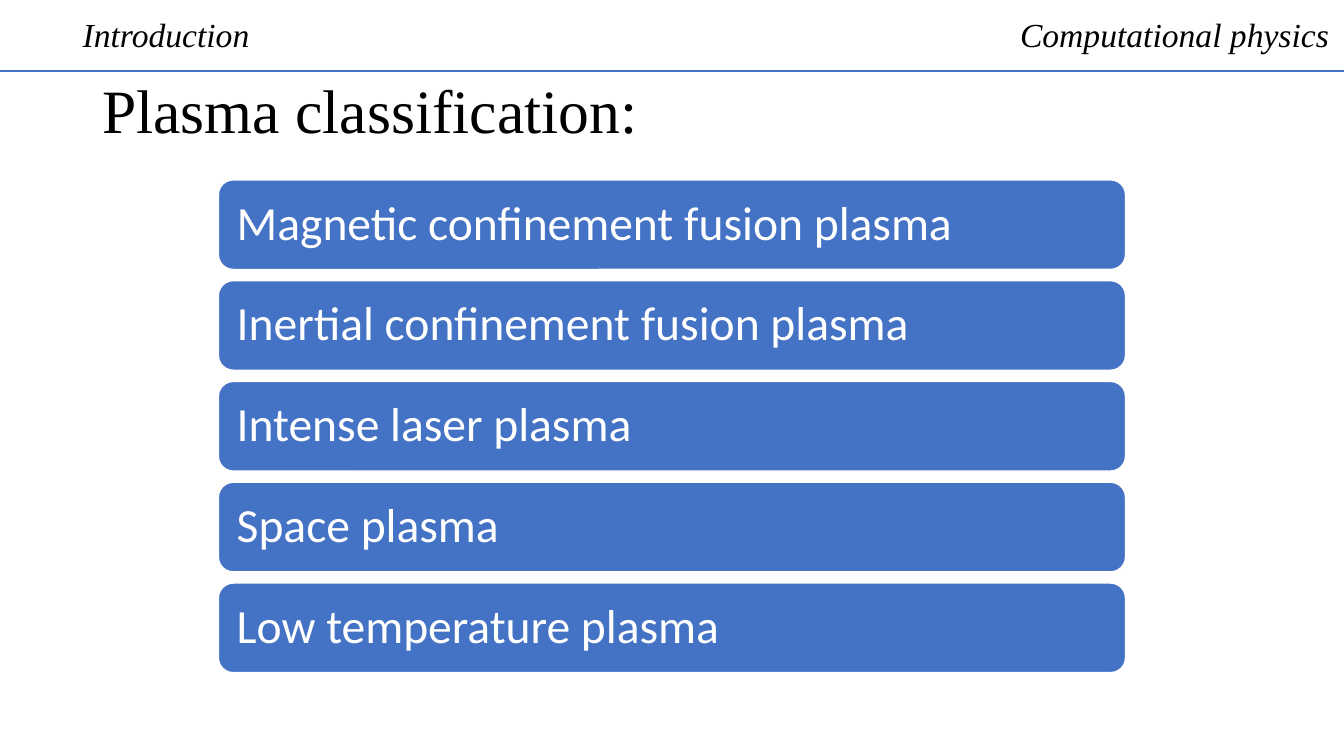
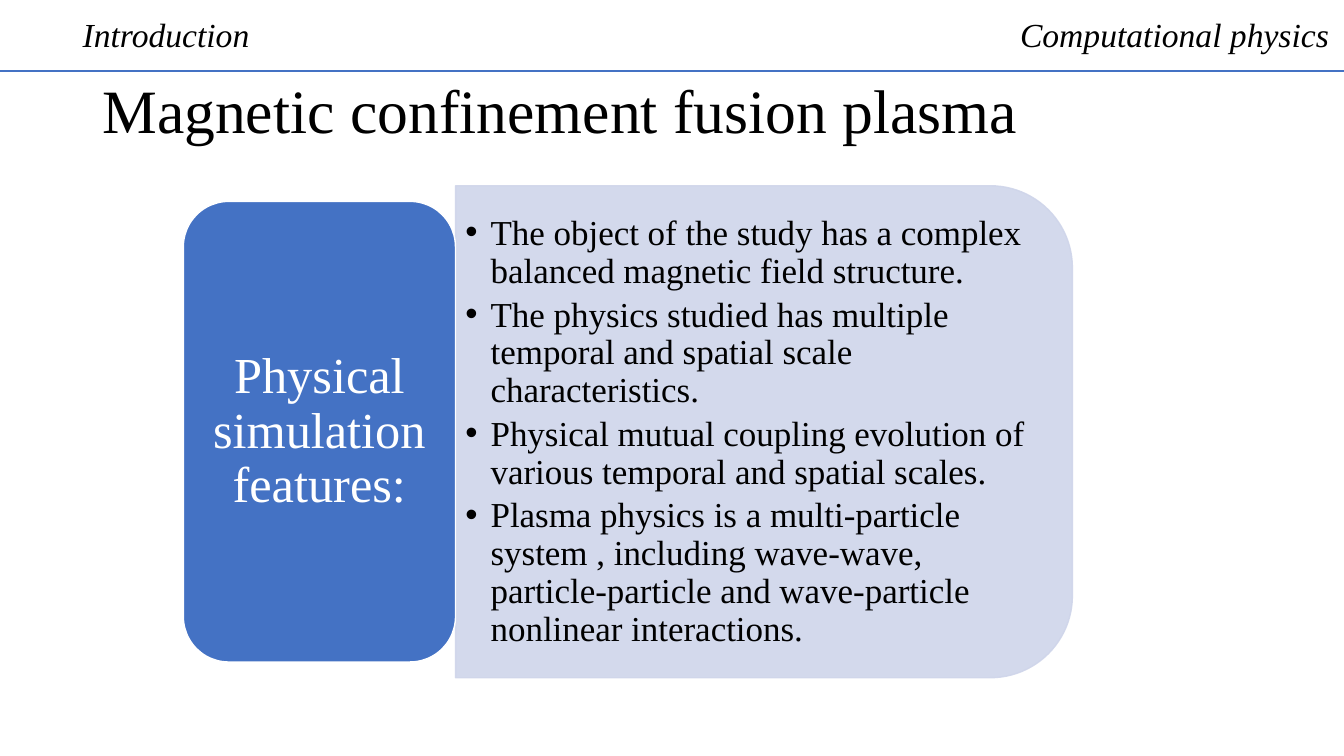
from lxml import etree
from pptx import Presentation
from pptx.dml.color import RGBColor
from pptx.enum.shapes import MSO_CONNECTOR, MSO_SHAPE
from pptx.enum.text import MSO_ANCHOR, PP_ALIGN
from pptx.oxml.ns import qn
from pptx.util import Pt

BLUE = RGBColor(0x44, 0x72, 0xC4)
PALE_BLUE = RGBColor(0xCF, 0xD5, 0xEA)
WHITE = RGBColor(0xFF, 0xFF, 0xFF)
BLACK = RGBColor(0x00, 0x00, 0x00)
SERIF = "Times New Roman"
SANS = "Calibri"
ROUNDED = MSO_SHAPE.ROUNDED_RECTANGLE
ROUND_TOP = MSO_SHAPE.ROUND_2_SAME_RECTANGLE
STRAIGHT = MSO_CONNECTOR.STRAIGHT
MIDDLE = MSO_ANCHOR.MIDDLE
LEFT = PP_ALIGN.LEFT
CENTER = PP_ALIGN.CENTER

SLIDE_WIDTH = 960
SLIDE_HEIGHT = 540
RULE_Y = 51
HEADERS = [("Introduction", 52, 137), ("Computational physics", 721.5, 237)]
TITLES = ["Plasma classification:", "Magnetic confinement fusion plasma"]
PLASMA_TYPES = [
    "Magnetic confinement fusion plasma",
    "Inertial confinement fusion plasma",
    "Intense laser plasma",
    "Space plasma",
    "Low temperature plasma",
]
FEATURES = [
    "The object of the study has a complex balanced magnetic field structure.",
    "The physics studied has multiple temporal and spatial scale characteristics.",
    "Physical mutual coupling evolution of various temporal and spatial scales.",
    "Plasma physics is a multi-particle system , including wave-wave, "
    "particle-particle and wave-particle nonlinear interactions.",
]


def add_block(page, kind, left, top, width, height, fill, line):
    block = page.shapes.add_shape(kind, Pt(left), Pt(top), Pt(width), Pt(height))
    block.shadow.inherit = False
    block.fill.solid()
    block.fill.fore_color.rgb = fill
    block.line.color.rgb = line
    block.line.width = Pt(1)
    return block


def add_span(para, text, size, font, color, align=LEFT, spacing=0.9):
    para.alignment = align
    para.line_spacing = spacing
    span = para.add_run()
    span.text = text
    span.font.size = Pt(size)
    span.font.name = font
    span.font.color.rgb = color
    return span


deck = Presentation()
deck.slide_width = Pt(SLIDE_WIDTH)
deck.slide_height = Pt(SLIDE_HEIGHT)
blank = deck.slide_layouts[6]

for title in TITLES:
    page = deck.slides.add_slide(blank)
    box = page.shapes.add_textbox(Pt(66), Pt(29), Pt(828), Pt(104))
    box.text_frame.word_wrap = True
    box.text_frame.vertical_anchor = MIDDLE
    add_span(box.text_frame.paragraphs[0], title, 44, SERIF, BLACK)

    rule = page.shapes.add_connector(STRAIGHT, 0, Pt(RULE_Y), Pt(SLIDE_WIDTH), Pt(RULE_Y))
    rule.line.color.rgb = BLUE
    rule.line.width = Pt(1.5)
    etree.SubElement(rule._element.spPr, qn("a:effectLst"))

    for text, left, width in HEADERS:
        box = page.shapes.add_textbox(Pt(left), Pt(6.5), Pt(width), Pt(36))
        box.text_frame.word_wrap = False
        span = add_span(box.text_frame.paragraphs[0], text, 24, SERIF, BLACK, spacing=1.0)
        span.font.italic = True

types_page, features_page = deck.slides

BAR_TOP = 128.5
BAR_PITCH = 72
for index, plasma_type in enumerate(PLASMA_TYPES):
    bar = add_block(types_page, ROUNDED, 156, BAR_TOP + index * BAR_PITCH, 648, 64, BLUE, WHITE)
    frame = bar.text_frame
    frame.word_wrap = True
    frame.vertical_anchor = MIDDLE
    frame.margin_left = frame.margin_right = Pt(10)
    add_span(frame.paragraphs[0], plasma_type, 34, SANS, WHITE)

PANEL_LEFT = 325.4
PANEL_WIDTH = 440.6
PANEL_HEIGHT = 351.4
PANEL_MIDDLE = 308.4
panel = add_block(
    features_page,
    ROUND_TOP,
    PANEL_LEFT + (PANEL_WIDTH - PANEL_HEIGHT) / 2,
    PANEL_MIDDLE - PANEL_WIDTH / 2,
    PANEL_HEIGHT,
    PANEL_WIDTH,
    PALE_BLUE,
    PALE_BLUE,
)
panel.rotation = 90
for color in panel._element.spPr.iter(qn("a:srgbClr")):
    etree.SubElement(color, qn("a:alpha"), val="90000")

box = features_page.shapes.add_textbox(Pt(PANEL_LEFT), Pt(149.8), Pt(424), Pt(317.5))
frame = box.text_frame
frame.word_wrap = True
frame.vertical_anchor = MIDDLE
for index, feature in enumerate(FEATURES):
    para = frame.add_paragraph() if index else frame.paragraphs[0]
    properties = para._p.get_or_add_pPr()
    properties.set("marL", str(Pt(18)))
    properties.set("indent", str(-Pt(18)))
    etree.SubElement(properties, qn("a:buFont"), typeface="Arial")
    etree.SubElement(properties, qn("a:buChar"), char="•")
    para.space_after = Pt(4.3)
    add_span(para, feature, 25, SERIF, BLACK)

CARD_HEIGHT = 329
card = add_block(
    features_page, ROUNDED, 131, PANEL_MIDDLE - CARD_HEIGHT / 2, 194.4, CARD_HEIGHT, BLUE, WHITE
)
frame = card.text_frame
frame.word_wrap = True
frame.vertical_anchor = MIDDLE
frame.margin_left = frame.margin_right = Pt(10.8)
add_span(frame.paragraphs[0], "Physical simulation features:", 36, SERIF, WHITE, CENTER)

deck.save("out.pptx")
